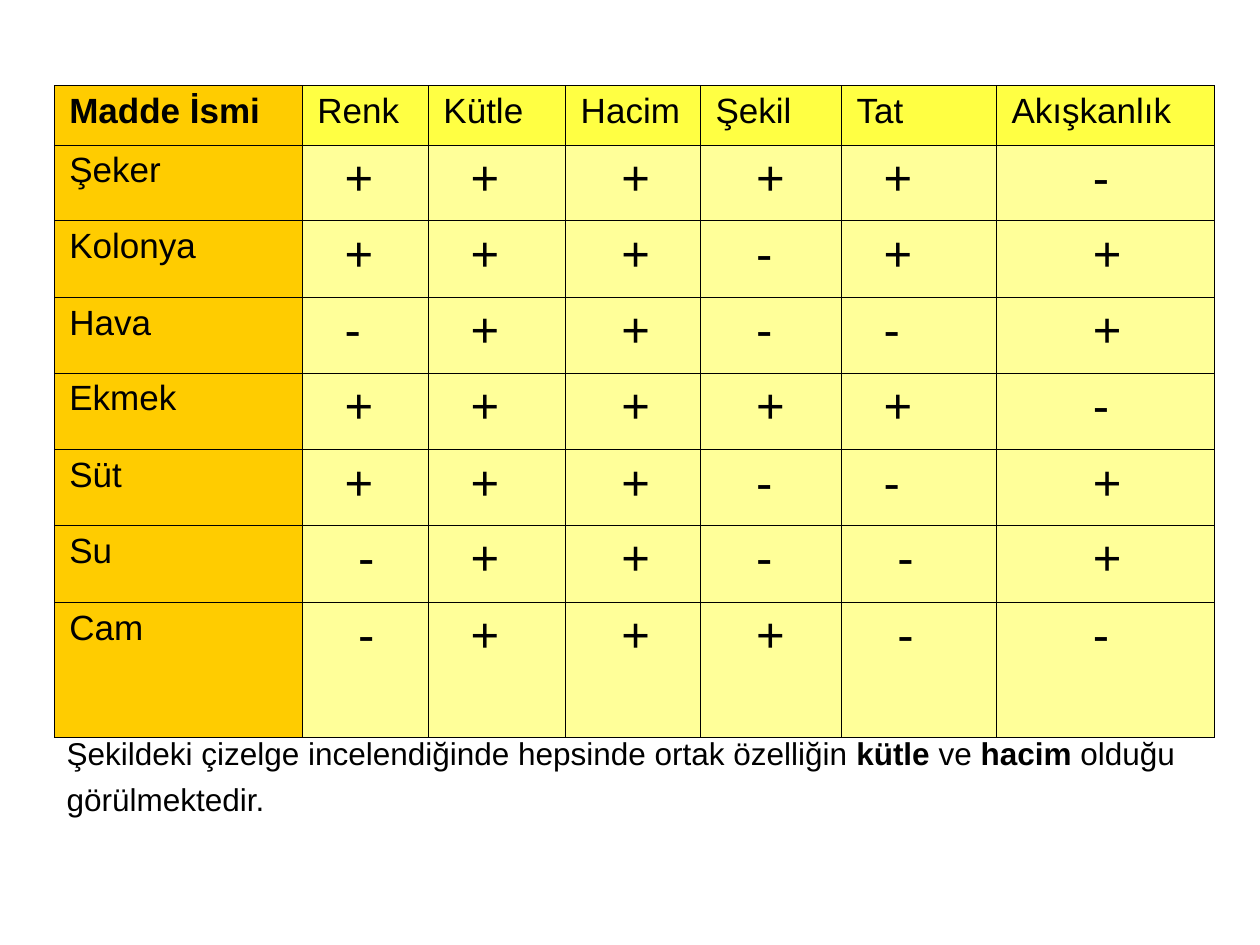
"""Build a slide with a table of the properties of substances and its conclusion."""
from lxml.etree import SubElement
from pptx import Presentation
from pptx.dml.color import RGBColor
from pptx.enum.text import MSO_AUTO_SIZE
from pptx.oxml.ns import qn
from pptx.util import Inches, Pt

COLORS = {"text": "000000", "corner": "FFCC00", "header": "FFFF43", "body": "FFFF99"}
COLUMN_WIDTHS = [1.97, 1, 1.09, 1.07, 1.12, 1.23, 1.73]
ROW_HEIGHTS = [0.47] + [0.6, 0.61] * 3 + [1.07]
HEADERS = ["Madde İsmi", "Renk", "Kütle", "Hacim", "Şekil", "Tat", "Akışkanlık"]
SUBSTANCES = {
    "Şeker": "+++++-",
    "Kolonya": "+++-++",
    "Hava": "-++--+",
    "Ekmek": "+++++-",
    "Süt": "+++--+",
    "Su": "-++--+",
    "Cam": "-+++--",
}
SIGN_INDENTS = [0, 2, 2, 3, 3, 2, 6]
SHIFTED_SIGNS = {(row, column) for row in (6, 7) for column in (1, 5)}
INDENT_STEP = Pt(7.75)


def add_run(paragraph, text, size, bold=False):
    run = paragraph.add_run()
    run.text = text
    run.font.name = "Arial"
    run.font.size = Pt(size)
    run.font.bold = bold
    run.font.color.rgb = RGBColor.from_string(COLORS["text"])


def add_border(cell, side):
    line = SubElement(cell._tc.get_or_add_tcPr(), qn(f"a:ln{side}"), w=str(Pt(0.45)))
    fill = SubElement(line, qn("a:solidFill"))
    SubElement(fill, qn("a:srgbClr"), val=COLORS["text"])


presentation = Presentation()
presentation.slide_width = Inches(10)
presentation.slide_height = Inches(7.5)
slide = presentation.slides.add_slide(presentation.slide_layouts[6])

rows = [HEADERS] + [[name, *signs] for name, signs in SUBSTANCES.items()]
table = slide.shapes.add_table(
    len(rows), len(HEADERS), Inches(0.43), Inches(0.68),
    Inches(sum(COLUMN_WIDTHS)), Inches(sum(ROW_HEIGHTS)),
).table
for column, width in zip(table.columns, COLUMN_WIDTHS):
    column.width = Inches(width)
for row, height in zip(table.rows, ROW_HEIGHTS):
    row.height = Inches(height)

for row_index, values in enumerate(rows):
    for column_index, value in enumerate(values):
        cell = table.cell(row_index, column_index)
        is_sign = row_index > 0 and column_index > 0
        indent = 0
        if is_sign:
            indent = SIGN_INDENTS[column_index] + ((row_index, column_index) in SHIFTED_SIGNS)
        cell.margin_left = Inches(0.12) + indent * INDENT_STEP
        cell.margin_right = Inches(0.04)
        cell.margin_top = cell.margin_bottom = Inches(0.05)
        for side in "LRTB":
            add_border(cell, side)
        color = "body" if is_sign else "corner" if column_index == 0 else "header"
        cell.fill.solid()
        cell.fill.fore_color.rgb = RGBColor.from_string(COLORS[color])
        paragraph = cell.text_frame.paragraphs[0]
        paragraph.space_before = Pt(7 if is_sign else 5)
        add_run(paragraph, value, 28 if is_sign else 20, row_index == column_index == 0)

conclusion = slide.shapes.add_textbox(Inches(0.43), Inches(5.72), Inches(9.21), Inches(0.82))
conclusion.text_frame.word_wrap = True
conclusion.text_frame.auto_size = MSO_AUTO_SIZE.SHAPE_TO_FIT_TEXT
paragraph = conclusion.text_frame.paragraphs[0]
paragraph.line_spacing = 1.2
for text, bold in [
    ("Şekildeki çizelge incelendiğinde hepsinde ortak özelliğin ", False),
    ("kütle", True),
    (" ve ", False),
    ("hacim", True),
    (" olduğu görülmektedir.", False),
]:
    add_run(paragraph, text, 18, bold)

presentation.save("out.pptx")
